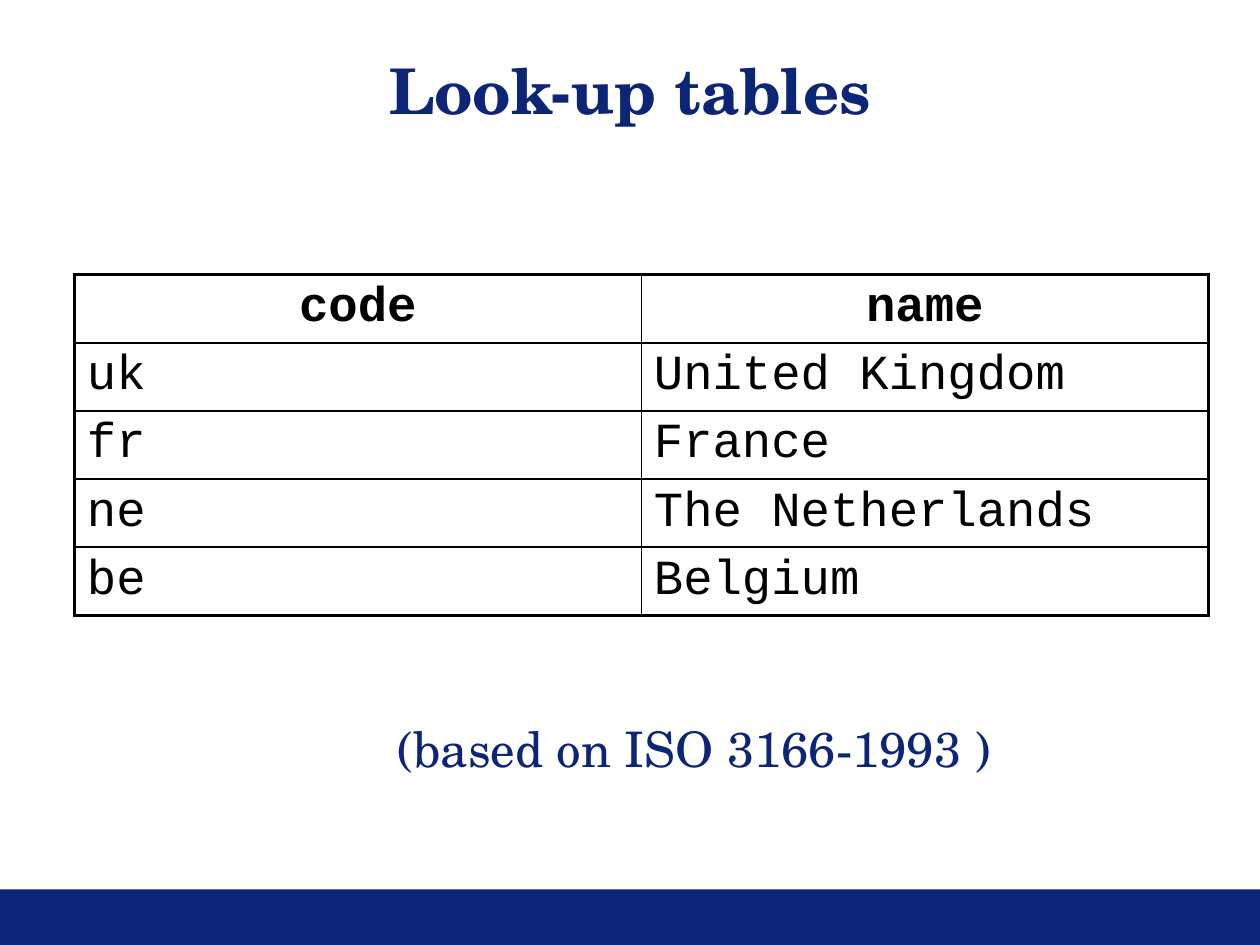
from lxml.etree import SubElement
from pptx import Presentation
from pptx.dml.color import RGBColor
from pptx.enum.shapes import MSO_SHAPE
from pptx.enum.text import PP_ALIGN
from pptx.oxml.ns import qn
from pptx.util import Inches, Pt

COLORS = {"navy": "0C2577", "black": "000000"}
SERIF, MONO = "TeX Gyre Schola", "Courier New"

# text, (left, top, width, height), size, bold
TEXTS = [
    ("Look-up tables", (0.67, 0.36, 8.66, 0.71), 36, True),
    ("(based on ISO 3166-1993 )", (1.65, 5.65, 7.72, 0.57), 28, False),
]
COUNTRIES = [
    ("code", "name"),
    ("uk", "United Kingdom"),
    ("fr", "France"),
    ("ne", "The Netherlands"),
    ("be", "Belgium"),
]
TABLE_LEFT, TABLE_TOP = 0.59, 2.18
COLUMN_WIDTH, ROW_HEIGHT = 4.5, 0.54
OUTER_LINE, INNER_LINE = 2.25, 1


def write(paragraph, text, font_name, size, color, bold, alignment):
    paragraph.alignment = alignment
    run = paragraph.add_run()
    run.text = text
    run.font.name = font_name
    run.font.size = Pt(size)
    run.font.bold = bold
    run.font.color.rgb = RGBColor.from_string(COLORS[color])


def set_border(cell, side, width):
    """Draw one side of a cell: L, R, T or B, with the width in points."""
    properties = cell._tc.get_or_add_tcPr()
    line = SubElement(properties, qn(f"a:ln{side}"), w=str(Pt(width)))
    fill = SubElement(line, qn("a:solidFill"))
    SubElement(fill, qn("a:srgbClr"), val=COLORS["black"])


def add_footer_band(slide):
    band = slide.shapes.add_shape(
        MSO_SHAPE.RECTANGLE, 0, Inches(7.06), Inches(10), Inches(0.44))
    band.shadow.inherit = False
    band.fill.solid()
    band.fill.fore_color.rgb = RGBColor.from_string(COLORS["navy"])
    band.line.fill.background()


def add_country_table(slide):
    row_count, column_count = len(COUNTRIES), len(COUNTRIES[0])
    table = slide.shapes.add_table(
        row_count, column_count, Inches(TABLE_LEFT), Inches(TABLE_TOP),
        Inches(COLUMN_WIDTH * column_count), Inches(ROW_HEIGHT * row_count)).table
    table.horz_banding = False
    for row, values in enumerate(COUNTRIES):
        for column, value in enumerate(values):
            cell = table.cell(row, column)
            is_header = row == 0
            write(cell.text_frame.paragraphs[0], value, MONO, 28, "black", is_header,
                  PP_ALIGN.CENTER if is_header else PP_ALIGN.LEFT)
            outer_sides = {
                "L": column == 0,
                "R": column == column_count - 1,
                "T": is_header,
                "B": row == row_count - 1,
            }
            for side, is_outer in outer_sides.items():
                set_border(cell, side, OUTER_LINE if is_outer else INNER_LINE)
            cell.fill.background()


def add_text(slide, text, box, size, bold):
    frame = slide.shapes.add_textbox(*map(Inches, box)).text_frame
    frame.word_wrap = True
    write(frame.paragraphs[0], text, SERIF, size, "navy", bold, PP_ALIGN.CENTER)


def main():
    presentation = Presentation()
    presentation.slide_width, presentation.slide_height = Inches(10), Inches(7.5)
    slide = presentation.slides.add_slide(presentation.slide_layouts[6])
    add_footer_band(slide)
    add_country_table(slide)
    for entry in TEXTS:
        add_text(slide, *entry)
    presentation.save("out.pptx")


if __name__ == "__main__":
    main()
